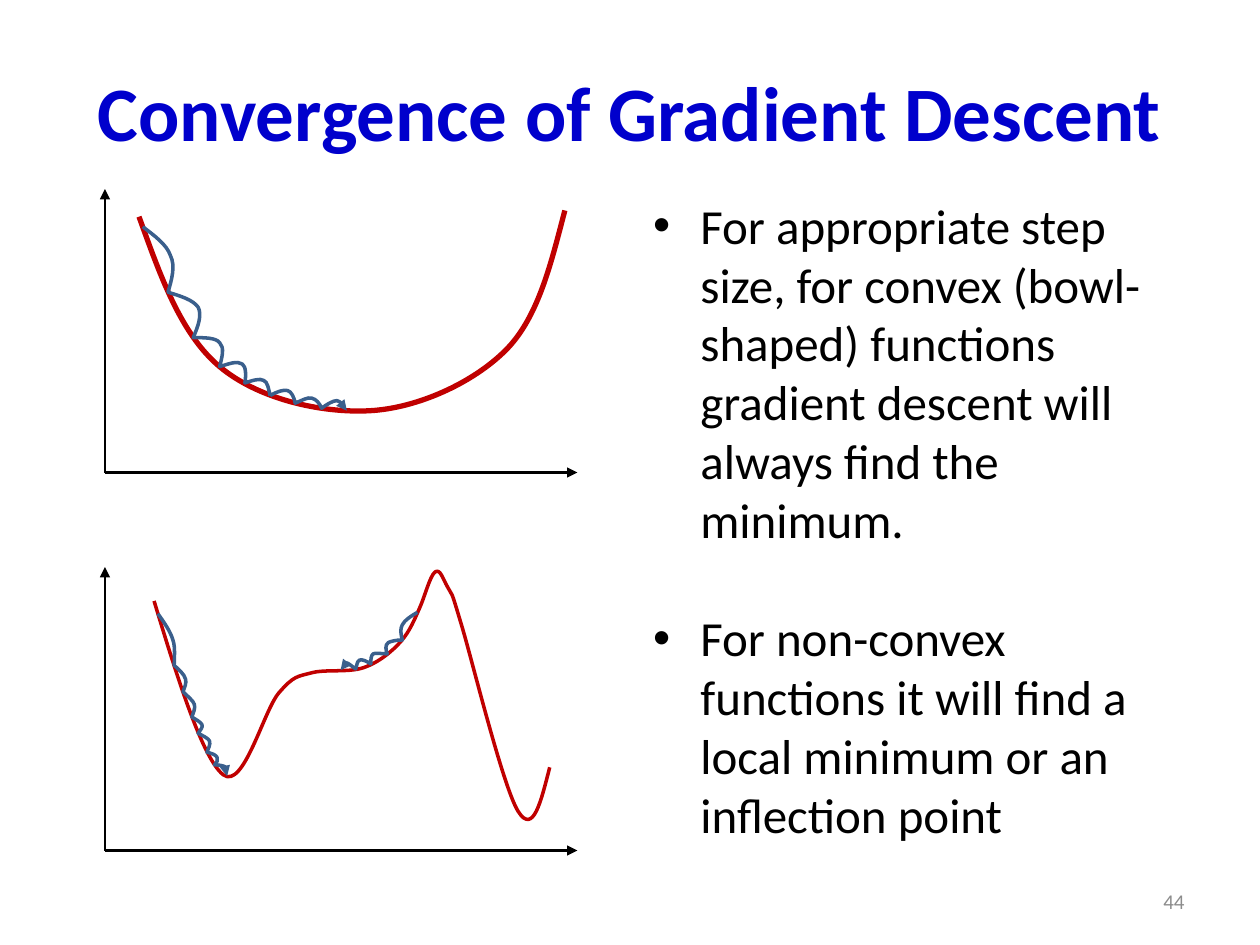
import itertools
import math

import pptx
import pptx.dml.color
import pptx.enum.shapes
import pptx.enum.text
import pptx.oxml.ns
import pptx.util
from lxml import etree

Pt = pptx.util.Pt
qn = pptx.oxml.ns.qn

COLORS = {"title": "0000CC", "text": "000000", "number": "8C8C8C",
          "axis": "000000", "function": "C00000", "descent": "3A5F8C"}
FONT = "Calibri"
GRID = 0.72  # points per plot unit; a plot is 375 by 225 units, y pointing down
LEAN = 1.5   # how far the crest of a hop leans towards its landing, in plot units

# The functions pass smoothly through these knots.
BOWL = [(27, 22), (91, 141), (210, 176), (318, 128), (365, 17)]
WAVE = [(39, 27), (94, 165), (138, 100), (164, 84), (205, 80), (235, 59),
        (250, 32), (262, 4), (272, 16), (283, 46), (328, 194), (353, 159)]

# A descent touches the function at each x and bulges away from it in between.
BOWL_XS = [30 + 20.25 * step for step in range(9)]
BOWL_BULGES = [12.5, 14.5, 12.8, 12, 8.5, 7.6, 6.3, 7]
MINIMUM_XS = [42, 55, 62, 69, 74, 81, 87, 97]
INFLECTION_XS = [248 - 12.2 * step for step in range(6)]


def rgb(name):
    return pptx.dml.color.RGBColor.from_string(COLORS[name])


def between(start, end, share=0.5):
    return tuple(a + (b - a) * share for a, b in zip(start, end))


def smooth_curve(knots):
    """Return a start point, then two controls and an end point for each segment."""
    controls = []
    for before, knot, after in zip(knots, knots[1:], knots[2:]):
        tangent = [(b - a) / 6 for a, b in zip(before, after)]
        controls.append(tuple(k - t for k, t in zip(knot, tangent)))
        controls.append(tuple(k + t for k, t in zip(knot, tangent)))
    controls.insert(0, between(knots[0], controls[0]))
    controls.append(between(knots[-1], controls[-1]))
    points = [knots[0]]
    for index, knot in enumerate(knots[1:]):
        points += [*controls[2 * index:2 * index + 2], knot]
    return points


def bezier_point(segment, share):
    """Halve the control polygon down to one point (de Casteljau)."""
    while len(segment) > 1:
        segment = [between(a, b, share) for a, b in itertools.pairwise(segment)]
    return segment[0]


def point_at(curve, x):
    """Find the point of the curve at x by bisection."""
    segments = (curve[i:i + 4] for i in range(0, len(curve) - 1, 3))
    segment = next(s for s in segments if s[0][0] <= x <= s[3][0])
    low, high = 0, 1
    for _ in range(20):
        middle = (low + high) / 2
        if bezier_point(segment, middle)[0] < x:
            low = middle
        else:
            high = middle
    return bezier_point(segment, low)


def descent_curve(function, xs, bulges):
    """Hop along the function, from one touching point to the next."""
    feet = [point_at(function, x) for x in xs]
    points = feet[:1]
    for foot, landing, bulge in zip(feet, feet[1:], bulges):
        dx, dy = landing[0] - foot[0], landing[1] - foot[1]
        length = math.hypot(dx, dy)
        side = math.copysign(bulge, dx)  # the upper side, whichever way it runs
        middle_x, middle_y = between(foot, landing)
        crest = (middle_x + (dy * side + dx * LEAN) / length,
                 middle_y + (dy * LEAN - dx * side) / length)
        points += smooth_curve([foot, crest, landing])[1:]
    return points


def format_font(font, size, color, bold=False):
    font.name, font.size, font.bold = FONT, Pt(size), bold
    font.color.rgb = rgb(color)


def place(shape, box):
    shape.left, shape.top, shape.width, shape.height = (Pt(length) for length in box)


def format_line(shape, color, width, arrow):
    shape.line.color.rgb = rgb(color)
    shape.line.width = Pt(width)
    if arrow:
        outline = shape.element.spPr.find(qn("a:ln"))
        etree.SubElement(outline, qn("a:tailEnd"), type="triangle")


def add_axes(shapes, box):
    left, top, width, height = box
    bottom = top + height
    for end_x, end_y in ((left + width, bottom), (left, top)):
        axis = shapes.add_connector(pptx.enum.shapes.MSO_CONNECTOR.STRAIGHT,
                                    Pt(left), Pt(bottom), Pt(end_x), Pt(end_y))
        format_line(axis, "axis", 1.5, arrow=True)
        etree.SubElement(axis.element.spPr, qn("a:effectLst"))


def add_curve(shapes, box, points, color, width, arrow=False):
    """Draw straight lines through all points, then join each three into a Bézier."""
    builder = shapes.build_freeform(*points[0], scale=Pt(GRID))
    builder.add_line_segments(points[1:], close=False)
    curve = builder.convert_to_shape(Pt(box[0]), Pt(box[1]))
    lines = list(curve.element.iter(qn("a:lnTo")))
    for first in range(0, len(lines), 3):
        segment = etree.Element(qn("a:cubicBezTo"))
        lines[first].addprevious(segment)
        for line in lines[first:first + 3]:
            segment.append(line[0])
            line.getparent().remove(line)
    curve.fill.background()
    curve.shadow.inherit = False
    format_line(curve, color, width, arrow)


def add_plot(shapes, box, knots, width, descents):
    """Draw axes, the function, and descents given as (xs, bulges, has arrow)."""
    add_axes(shapes, box)
    function = smooth_curve(knots)
    add_curve(shapes, box, function, "function", width)
    for xs, bulges, arrow in descents:
        add_curve(shapes, box, descent_curve(function, xs, bulges), "descent", 2, arrow)


def fill_title(title, box, text):
    place(title, box)
    title.text_frame.text = text
    title.text_frame.vertical_anchor = pptx.enum.text.MSO_ANCHOR.MIDDLE
    paragraph = title.text_frame.paragraphs[0]
    paragraph.alignment = pptx.enum.text.PP_ALIGN.CENTER
    format_font(paragraph.runs[0].font, 44, "title", bold=True)


def fill_bullets(body, box, items):
    place(body, box)
    body.text_frame.text = "\n".join(items)
    body.text_frame.auto_size = pptx.enum.text.MSO_AUTO_SIZE.NONE
    for index, paragraph in enumerate(body.text_frame.paragraphs):
        paragraph.space_before = Pt(34 if index else 0)
        format_font(paragraph.runs[0].font, 28, "text")


def add_slide_number(shapes, box, number):
    frame = shapes.add_textbox(*(Pt(length) for length in box)).text_frame
    frame.word_wrap = True
    frame.vertical_anchor = pptx.enum.text.MSO_ANCHOR.MIDDLE
    frame.text = number
    paragraph = frame.paragraphs[0]
    paragraph.alignment = pptx.enum.text.PP_ALIGN.RIGHT
    format_font(paragraph.runs[0].font, 12, "number")


def main():
    presentation = pptx.Presentation()
    presentation.slide_width, presentation.slide_height = Pt(720), Pt(540)
    slide = presentation.slides.add_slide(presentation.slide_layouts[1])
    shapes = slide.shapes
    fill_title(shapes.title, (36, 18, 648, 90), "Convergence of Gradient Descent")
    fill_bullets(slide.placeholders[1], (366, 108, 318, 392), [
        "For appropriate step size, for convex (bowl-shaped) functions "
        "gradient descent will always find the minimum.",
        "For non-convex functions it will find a local minimum or an inflection point",
    ])
    add_slide_number(shapes, (516, 500.5, 168, 28.75), "44")
    add_plot(shapes, (60, 108, 270, 162), BOWL, 3,
             [(BOWL_XS[:6], BOWL_BULGES[:5], False),
              (BOWL_XS[5:], BOWL_BULGES[5:], True)])
    add_plot(shapes, (60, 324, 270, 162), WAVE, 2,
             [(MINIMUM_XS, itertools.repeat(5), True),
              (INFLECTION_XS, itertools.repeat(6), True)])
    presentation.save("out.pptx")


if __name__ == "__main__":
    main()
